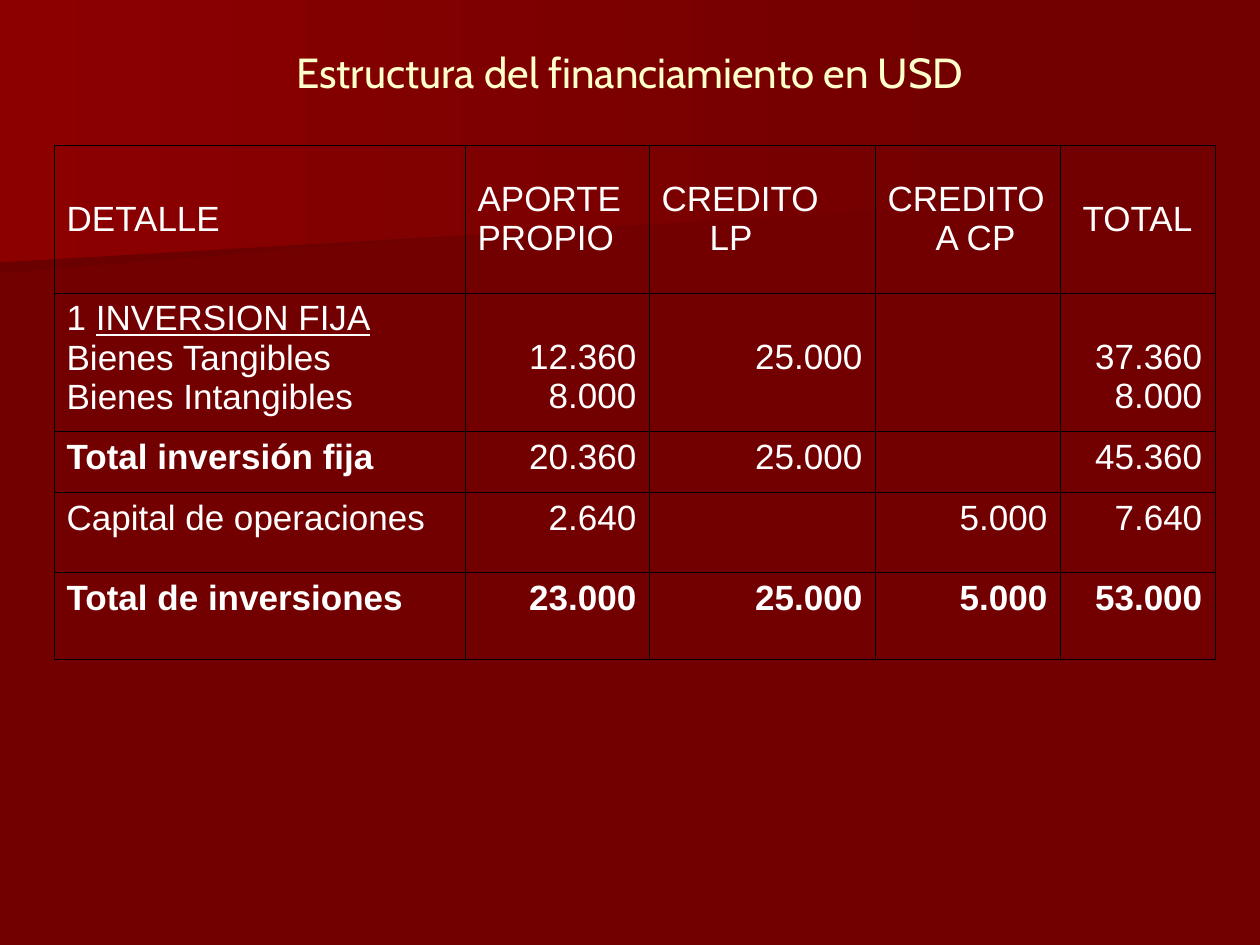
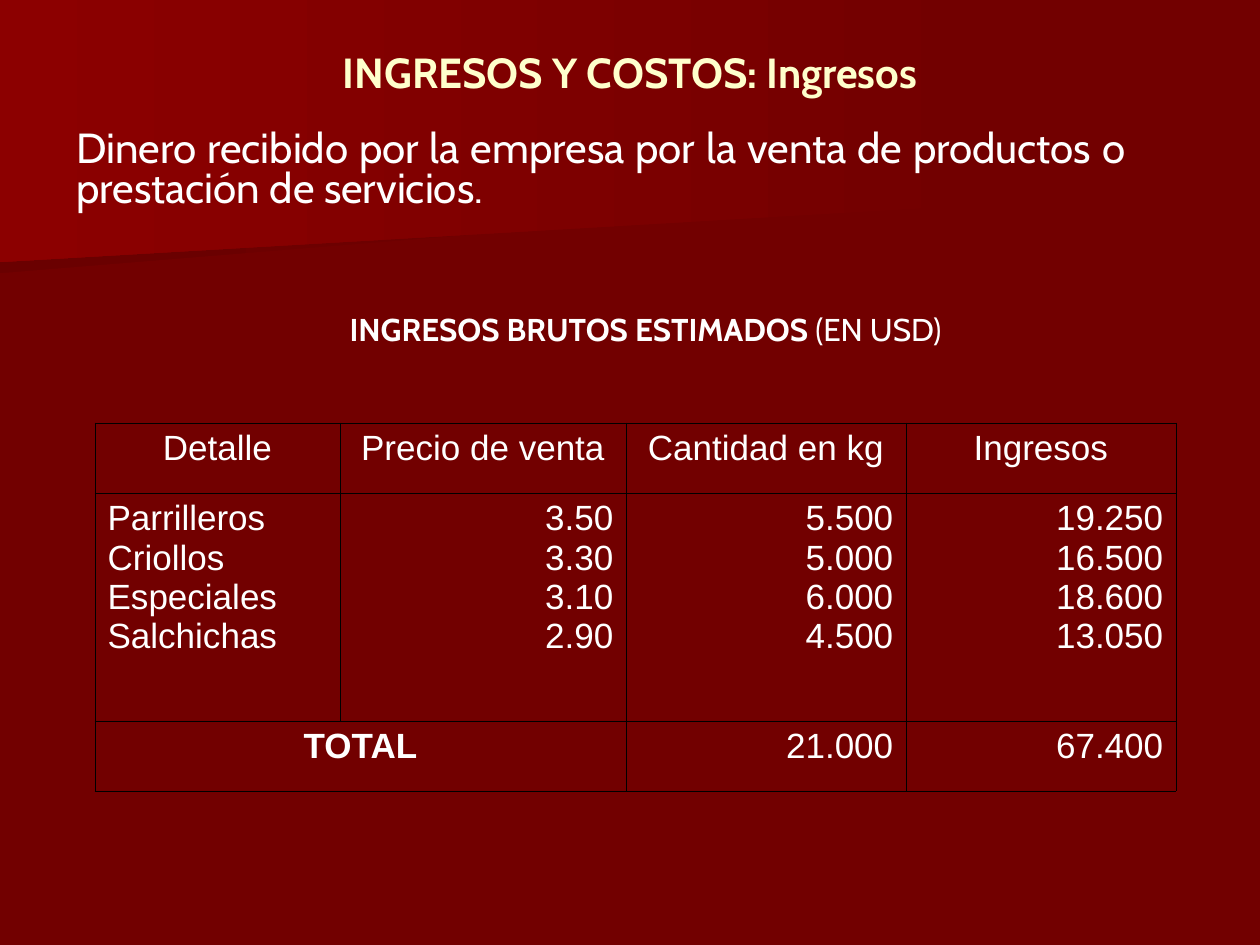
from lxml import etree
from pptx import Presentation
from pptx.dml.color import RGBColor
from pptx.enum.text import MSO_ANCHOR, PP_ALIGN
from pptx.oxml.ns import qn
from pptx.util import Emu, Pt

EMU_PER_PX = 914400 / 126
LEFT, CENTER, RIGHT, JUSTIFY = PP_ALIGN.LEFT, PP_ALIGN.CENTER, PP_ALIGN.RIGHT, PP_ALIGN.JUSTIFY
TOP, MIDDLE = MSO_ANCHOR.TOP, MSO_ANCHOR.MIDDLE

MAROON = RGBColor(0x72, 0x00, 0x00)
DARK_MAROON = RGBColor(0x6A, 0x00, 0x00)
RED = RGBColor(0x8C, 0x00, 0x00)
CREAM = RGBColor(0xFF, 0xFF, 0xCC)
WHITE = RGBColor(0xFF, 0xFF, 0xFF)
BLACK = RGBColor(0x00, 0x00, 0x00)

HEAD_FONT, TABLE_FONT = "Cabin", "Arial"
TITLE_BOX = (63, 38, 1134, 68)
BANDS = [
    ([(980, 193), (0, 273), (0, 127), (982, 127), (980, 161)], DARK_MAROON),
    ([(998, 204), (0, 262), (0, 0), (998, 0)], RED),
]
CELL_TOP, CELL_LINE, HANGING = 6, 39, 48


def px(n):
    return Emu(round(n * EMU_PER_PX))


def style_runs(p, font, size, color, bold=False):
    for r in p.runs:
        r.font.name = font
        r.font.size = Pt(size)
        r.font.color.rgb = color
        r.font.bold = bold


def add_band(slide, points, outer_color):
    builder = slide.shapes.build_freeform(*points[0], scale=EMU_PER_PX)
    builder.add_line_segments(points[1:], close=True)
    sp = builder.convert_to_shape()
    sp.shadow.inherit = False
    sp.line.fill.background()
    sp.fill.gradient()
    sp.fill.gradient_angle = 180
    for stop, color in zip(sp.fill.gradient_stops, (MAROON, outer_color)):
        stop.color.rgb = color


def add_text(slide, box, text, size, color, align, bold=False, anchor=TOP):
    tf = slide.shapes.add_textbox(*map(px, box)).text_frame
    tf.word_wrap = True
    tf.vertical_anchor = anchor
    p = tf.paragraphs[0]
    p.text = text
    p.alignment = align
    style_runs(p, HEAD_FONT, size, color, bold)
    return p


def add_base_slide(prs, title, bold=False):
    slide = prs.slides.add_slide(prs.slide_layouts[6])
    for points, color in BANDS:
        add_band(slide, points, color)
    add_text(slide, TITLE_BOX, title, 24, CREAM, CENTER, bold, MIDDLE)
    return slide


def add_borders(cell):
    tcPr = cell._tc.get_or_add_tcPr()
    for side in ("a:lnL", "a:lnR", "a:lnT", "a:lnB"):
        ln = etree.SubElement(tcPr, qn(side), w=str(Pt(0.45)))
        fill = etree.SubElement(ln, qn("a:solidFill"))
        etree.SubElement(fill, qn("a:srgbClr"), val=str(BLACK))


def set_hanging(p):
    pPr = p._p.get_or_add_pPr()
    pPr.set("marL", str(px(HANGING)))
    pPr.set("indent", str(-px(HANGING)))


def fill_cell(cell, text, align, bold=False):
    add_borders(cell)
    cell.fill.background()
    cell.text_frame.text = text
    for p in cell.text_frame.paragraphs:
        p.alignment = align
        style_runs(p, TABLE_FONT, 20, WHITE, bold)


def add_grid(slide, left, top, widths, heights, rows, header_aligns, bold_cells):
    box = (left, top, sum(widths), sum(heights))
    table = slide.shapes.add_table(len(rows), len(widths), *map(px, box)).table
    table.first_row = table.horz_banding = False
    for column, width in zip(table.columns, widths):
        column.width = px(width)
    for row, height in zip(table.rows, heights):
        row.height = px(height)
    body_aligns = [LEFT] + [RIGHT] * (len(widths) - 1)
    for i, texts in enumerate(rows):
        aligns = body_aligns if i else header_aligns
        for j, (text, align) in enumerate(zip(texts, aligns)):
            fill_cell(table.cell(i, j), text, align, (i, j) in bold_cells)
    return table


def build_financing(prs):
    slide = add_base_slide(prs, "Estructura del financiamiento en USD")
    rows = [
        ["DETALLE", "APORTE PROPIO", "CREDITO LP", "CREDITO A CP", "TOTAL"],
        ["1 \nBienes Tangibles\nBienes Intangibles", "12.360\n8.000", "25.000", "", "37.360\n8.000"],
        ["Total inversión fija", "20.360", "25.000", "", "45.360"],
        ["Capital de operaciones", "2.640", "", "5.000", "7.640"],
        ["Total de inversiones", "23.000", "25.000", "5.000", "53.000"],
    ]
    bold_cells = {(2, 0)} | {(4, j) for j in range(5)}
    table = add_grid(slide, 54, 145, [411, 184, 226, 185, 155], [148, 138, 61, 80, 87],
                     rows, [LEFT] * 4 + [CENTER], bold_cells)
    for j in range(5):
        table.cell(0, j).vertical_anchor = MIDDLE
    for j in (2, 3):
        set_hanging(table.cell(0, j).text_frame.paragraphs[0])
    for j in range(1, 5):
        table.cell(1, j).margin_top = px(CELL_TOP + CELL_LINE)
    p = table.cell(1, 0).text_frame.paragraphs[0]
    r = p.add_run()
    r.text = "INVERSION FIJA"
    r.font.underline = True
    style_runs(p, TABLE_FONT, 20, WHITE)


def build_income(prs):
    slide = add_base_slide(prs, "INGRESOS Y COSTOS: Ingresos", bold=True)
    p = add_text(slide, (64, 125, 1074, 100),
                 "Dinero recibido por la empresa por la venta de productos o prestación de servicios.",
                 24, WHITE, JUSTIFY)
    p.line_spacing = 0.8
    rows = [
        ["Detalle", "Precio de venta", "Cantidad en kg", "Ingresos"],
        ["Parrilleros\nCriollos\nEspeciales\nSalchichas", "3.50\n3.30\n3.10\n2.90",
         "5.500\n5.000\n6.000\n4.500", "19.250\n16.500\n18.600\n13.050"],
        ["TOTAL", "", "21.000", "67.400"],
    ]
    table = add_grid(slide, 95, 423, [245, 286, 280, 270], [70, 228, 70],
                     rows, [CENTER] * 4, {(2, 0)})
    total = table.cell(2, 0)
    total.merge(table.cell(2, 1))
    total.text_frame.paragraphs[0].alignment = CENTER
    p = add_text(slide, (95, 304, 1101, 50), "INGRESOS BRUTOS ESTIMADOS", 18, WHITE, CENTER, True)
    p.add_run().text = " (EN USD)"
    style_runs(p, HEAD_FONT, 18, WHITE)
    p.runs[0].font.bold = True


def main():
    prs = Presentation()
    prs.slide_width, prs.slide_height = px(1260), px(945)
    background = prs.slide_master.background.fill
    background.solid()
    background.fore_color.rgb = MAROON
    build_financing(prs)
    build_income(prs)
    prs.save("out.pptx")


if __name__ == "__main__":
    main()
